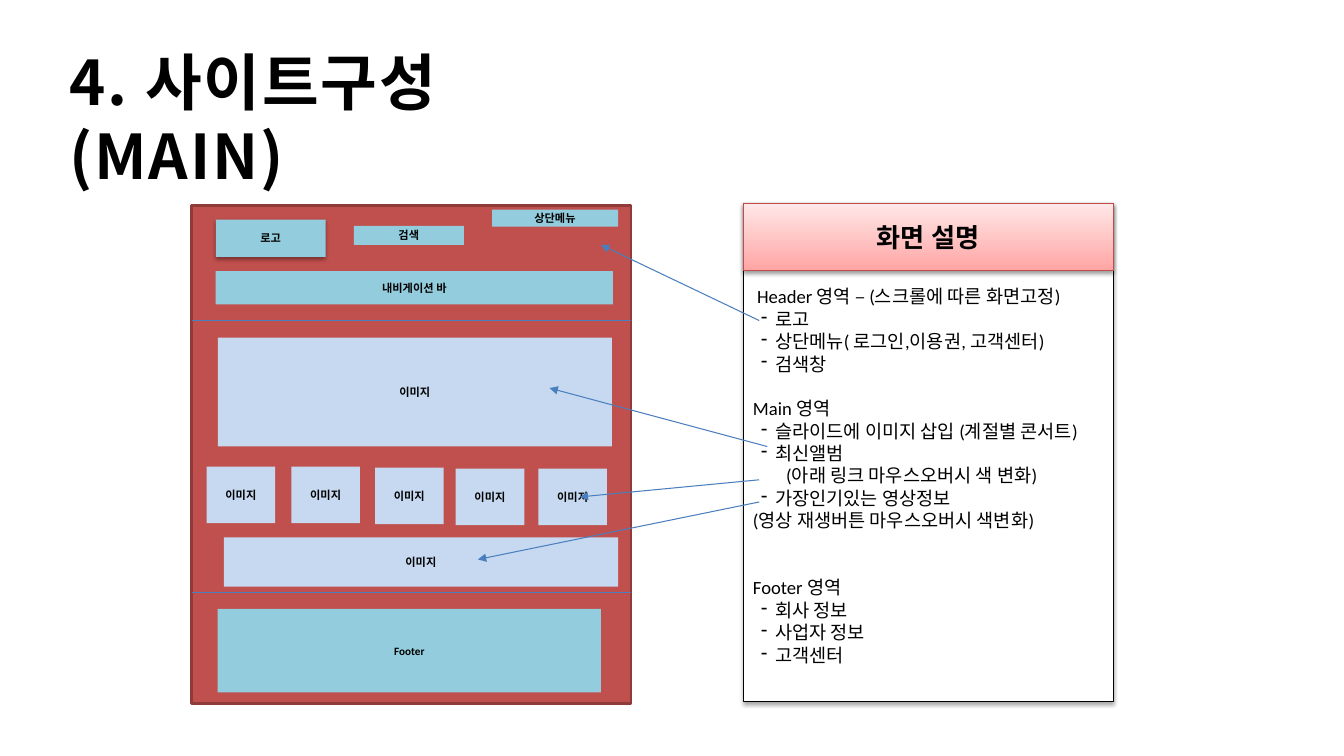
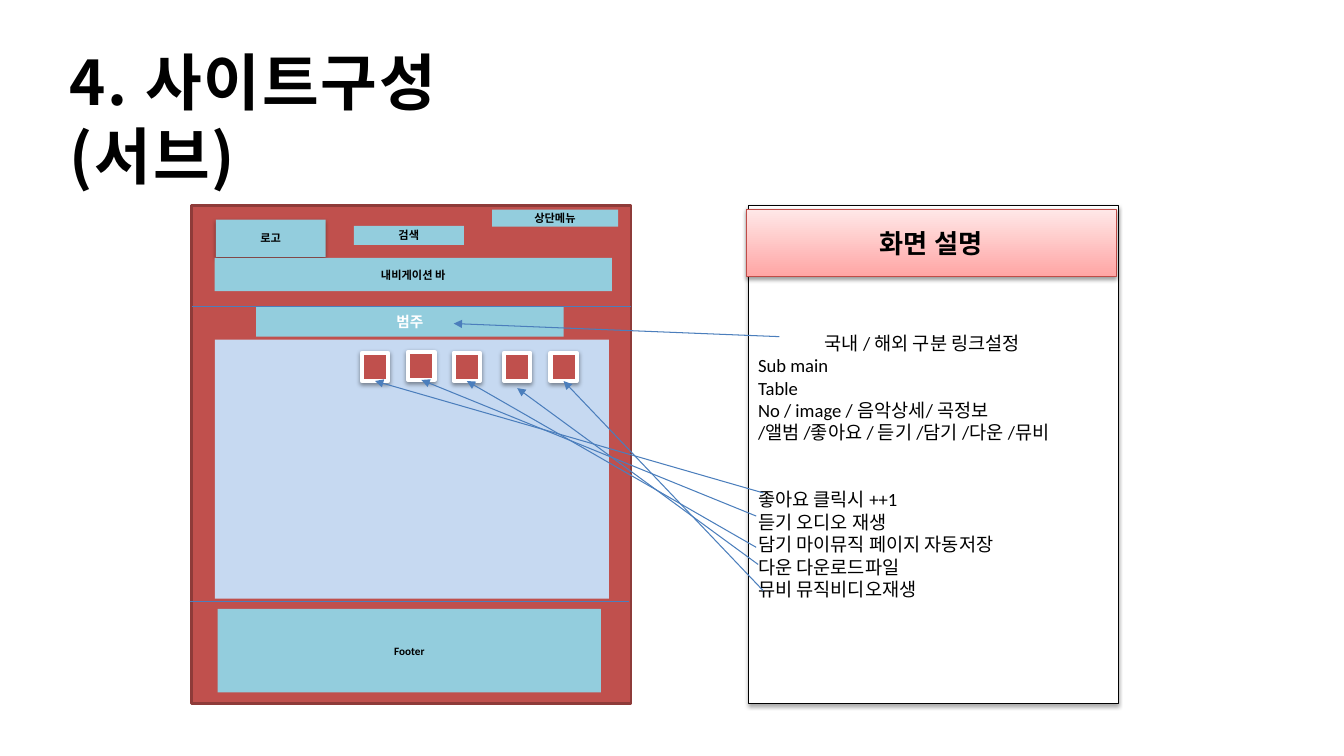
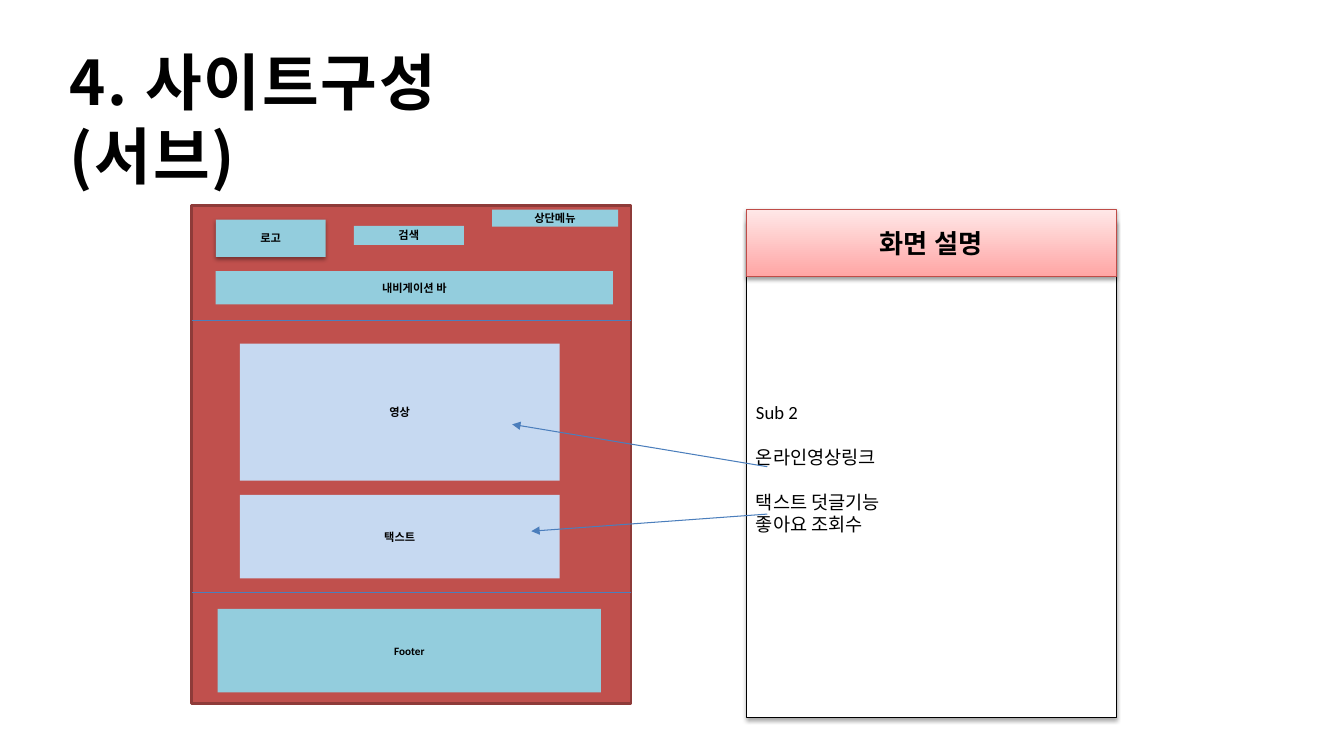
"""Build three wireframe slides that explain the page layout of a music site."""
from lxml import etree
from pptx import Presentation
from pptx import util as u
from pptx.dml.color import RGBColor
from pptx.enum import shapes, text
from pptx.oxml import parse_xml
from pptx.oxml.ns import qn

COLORS = {
    "frame": "C0504D", "frame_edge": "8E3B39", "bar": "93CDDD", "content": "C6D9F1",
    "line": "4B7EBC", "panel_edge": "000000", "header_edge": "BF4C48",
    "header_dark": "FFA6A5", "header_light": "FFE7E7", "black": "000000", "white": "FFFFFF",
}
RGB = {name: RGBColor.from_string(value) for name, value in COLORS.items()}
DRAWING = "http://schemas.openxmlformats.org/drawingml/2006/main"
HEADING_FONT = "Noto Sans CJK KR"
LABEL = {"name": "Calibri", "size": u.Pt(8), "bold": True}
CATEGORY = {**LABEL, "size": u.Pt(10.5)}
BODY = {"name": "Calibri", "size": u.Pt(13.3), "bold": False}
HEADER = {"name": HEADING_FONT, "size": u.Pt(18.7), "bold": True}
TITLE = {"name": HEADING_FONT, "size": u.Pt(44), "bold": True}
LINE_HEIGHT = 16


def format_runs(paragraph, font_format, color="black"):
    for run in paragraph.runs:
        for attribute, value in font_format.items():
            setattr(run.font, attribute, value)
        run.font.color.rgb = RGB[color]
        if font_format["name"] == HEADING_FONT:
            east_asian = etree.SubElement(run.font._element, qn("a:ea"))
            east_asian.set("typeface", HEADING_FONT)


def add_box(slide, place, fill, label="", edge=None, width=0.75, shadow=0,
            font_format=LABEL, color="black"):
    shape = slide.shapes.add_shape(shapes.MSO_SHAPE.RECTANGLE, *map(u.Inches, place))
    shape.fill.solid()
    shape.fill.fore_color.rgb = RGB[fill]
    if edge:
        shape.line.color.rgb = RGB[edge]
        shape.line.width = u.Pt(width)
    else:
        shape.line.fill.background()
    shape.shadow.inherit = False
    if shadow:
        effects = shape._element.spPr.find(qn("a:effectLst"))
        effects.append(parse_xml(
            f'<a:outerShdw xmlns:a="{DRAWING}" blurRad="{u.Pt(3.1)}" dist="{u.Pt(1.6)}" '
            f'dir="5400000" rotWithShape="0"><a:srgbClr val="{COLORS["black"]}">'
            f'<a:alpha val="{shadow * 1000}"/></a:srgbClr></a:outerShdw>'))
    if label:
        shape.text_frame.text = label
        shape.text_frame.vertical_anchor = text.MSO_ANCHOR.MIDDLE
        shape.text_frame.paragraphs[0].alignment = text.PP_ALIGN.CENTER
        format_runs(shape.text_frame.paragraphs[0], font_format, color)
    return shape


IMAGE_ROW = [
    ((left, top, 0.68, 0.56), "이미지")
    for left, top in zip((2.05, 2.89, 3.72, 4.52, 5.34), (4.63, 4.63, 4.64, 4.65, 4.65))
]
PAGES = [
    {
        "title": "(MAIN)", "navigation": (2.14, 2.69), "separators": [(1.9, 3.18), (1.9, 5.88)],
        "contents": [((2.16, 3.35, 3.91, 1.08), "이미지"), *IMAGE_ROW,
                     ((2.22, 5.33, 3.91, 0.49), "이미지")],
        "category": None, "icons": [],
        "panel": (7.37, 2.02), "header": (7.37, 2.02), "text_top": 2.83,
        "lines": [
            ("Header 영역 – (스크롤에 따른 화면고정)", 0.04, 0),
            ("- 로고", 0.08, 0),
            ("- 상단메뉴( 로그인,이용권, 고객센터)", 0.08, 0),
            ("- 검색창", 0.08, 0),
            ("Main 영역", 0, 1),
            ("- 슬라이드에 이미지 삽입 (계절별 콘서트)", 0.08, 0),
            ("- 최신앨범", 0.08, 0),
            ("(아래 링크 마우스오버시 색 변화)", 0.33, 0),
            ("- 가장인기있는 영상정보", 0.08, 0),
            ("(영상 재생버튼 마우스오버시 색변화)", 0, 0),
            ("Footer 영역", 0, 2),
            ("- 회사 정보", 0.08, 0),
            ("- 사업자 정보", 0.08, 0),
            ("- 고객센터", 0.08, 0),
        ],
        "arrows": [(7.53, 3.18, 5.96, 2.43), (7.61, 4.43, 5.45, 3.85),
                   (7.53, 4.76, 5.75, 4.93), (7.53, 4.98, 4.74, 5.55)],
    },
    {
        "title": "(서브)", "navigation": (2.13, 2.56), "separators": [(1.9, 3.04), (1.88, 5.97)],
        "contents": [((2.13, 3.37, 3.91, 2.57), "")],
        "category": (2.54, 3.04, 3.05, 0.3),
        "icons": [(3.59, 3.5), (4.05, 3.49), (4.5, 3.5), (5, 3.5), (5.46, 3.5)],
        "panel": (7.42, 2.04), "header": (7.4, 2.08), "text_top": 3.29,
        "lines": [
            ("국내 / 해외 구분 링크설정", 0.66, 0),
            ("Sub main", 0, 0),
            ("Table", 0, 0),
            ("No / image / 음악상세/ 곡정보", 0, 0),
            ("/앨범 /좋아요 / 듣기 /담기 /다운 /뮤비", 0, 0),
            ("좋아요 클릭시 ++1", 0, 2),
            ("듣기 오디오 재생", 0, 0),
            ("담기 마이뮤직 페이지 자동저장", 0, 0),
            ("다운 다운로드파일", 0, 0),
            ("뮤비 뮤직비디오재생", 0, 0),
        ],
        "arrows": [(7.57, 4.89, 3.72, 3.78), (7.5, 5.12, 4.18, 3.77), (7.5, 5.43, 4.63, 3.78),
                   (7.52, 5.6, 5.13, 3.85), (7.57, 5.86, 5.59, 3.78), (7.73, 3.34, 4.5, 3.21)],
    },
    {
        "title": "(서브)", "navigation": (2.14, 2.69), "separators": [(1.9, 3.18), (1.9, 5.88)],
        "contents": [((2.38, 3.41, 3.17, 1.36), "영상"), ((2.38, 4.91, 3.17, 0.83), "택스트")],
        "category": None, "icons": [],
        "panel": (7.4, 2.18), "header": (7.4, 2.08), "text_top": 3.98,
        "lines": [
            ("Sub 2", 0, 0),
            ("온라인영상링크", 0, 1),
            ("택스트 덧글기능", 0, 1),
            ("좋아요 조회수", 0, 0),
        ],
        "arrows": [(7.61, 4.63, 5.08, 4.21), (7.61, 5.1, 5.27, 5.27)],
    },
]

presentation = Presentation()
presentation.slide_width = u.Inches(13.33)
presentation.slide_height = u.Inches(7.5)

for page in PAGES:
    slide = presentation.slides.add_slide(presentation.slide_layouts[5])
    title = slide.shapes.title
    for attribute, value in {"left": 0.59, "top": 0.38, "width": 5, "height": 1.58}.items():
        setattr(title, attribute, u.Inches(value))
    title.text_frame.text = f"4. 사이트구성\v{page['title']}"
    title.text_frame.auto_size = text.MSO_AUTO_SIZE.NONE
    title.text_frame.vertical_anchor = text.MSO_ANCHOR.MIDDLE
    paragraph = title.text_frame.paragraphs[0]
    paragraph.alignment = text.PP_ALIGN.LEFT
    paragraph.line_spacing = u.Pt(53)
    format_runs(paragraph, TITLE)
    for run in paragraph.runs:
        run.font._element.set("spc", "130")

    add_box(slide, (1.9, 2.04, 4.36, 4.94), "frame", edge="frame_edge", width=2)
    add_box(slide, (2.14, 2.18, 1.09, 0.37), "bar", "로고", shadow=38)
    for place, label in [((*page["navigation"], 3.94, 0.33), "내비게이션 바"),
                         ((2.16, 6.04, 3.8, 0.83), "Footer"),
                         ((4.88, 2.08, 1.25, 0.17), "상단메뉴"),
                         ((3.51, 2.24, 1.09, 0.19), "검색")]:
        add_box(slide, place, "bar", label)
    for place, label in page["contents"]:
        add_box(slide, place, "content", label)

    panel = add_box(slide, (*page["panel"], 3.67, 4.94), "white", edge="panel_edge", shadow=35)
    frame = panel.text_frame
    frame.word_wrap = True
    frame.vertical_anchor = text.MSO_ANCHOR.TOP
    frame.margin_top = u.Inches(page["text_top"] - page["panel"][1])
    for index, (line, indent, gap) in enumerate(page["lines"]):
        paragraph = frame.add_paragraph() if index else frame.paragraphs[0]
        paragraph.text = line.removeprefix("- ")
        paragraph.alignment = text.PP_ALIGN.LEFT
        paragraph.line_spacing = u.Pt(LINE_HEIGHT)
        paragraph.space_before = u.Pt(LINE_HEIGHT * gap)
        format_runs(paragraph, BODY)
        properties = paragraph._p.get_or_add_pPr()
        hanging = 0.14 if line.startswith("- ") else 0
        properties.set("marL", str(u.Inches(indent + hanging)))
        properties.set("indent", str(-u.Inches(hanging)))
        if hanging:
            etree.SubElement(properties, qn("a:buChar")).set("char", "-")

    header = add_box(slide, (*page["header"], 3.67, 0.66), "white", "화면 설명",
                     edge="header_edge", shadow=38, font_format=HEADER)
    header.fill.gradient()
    header.fill.gradient_angle = 90
    for stop, color in zip(header.fill.gradient_stops, ("header_dark", "header_light")):
        stop.color.rgb = RGB[color]

    if page["category"]:
        add_box(slide, page["category"], "bar", "범주", font_format=CATEGORY, color="white")
    icons = {}
    for left, top in page["icons"]:
        bottom_middle = (round(left + 0.13, 2), round(top + 0.28, 2))
        icons[bottom_middle] = add_box(slide, (left, top, 0.26, 0.28), "frame",
                                       edge="white", width=3, shadow=38)

    separators = [(left, top, left + 4.36, top) for left, top in page["separators"]]
    for ends in separators + page["arrows"]:
        connector = slide.shapes.add_connector(
            shapes.MSO_CONNECTOR.STRAIGHT, *map(u.Inches, ends))
        connector.line.color.rgb = RGB["line"]
        connector.line.width = u.Pt(0.75)
        if ends in page["arrows"]:
            outline = connector.line._get_or_add_ln()
            etree.SubElement(outline, qn("a:tailEnd")).set("type", "triangle")
        etree.SubElement(connector._element.spPr, qn("a:effectLst"))
        if ends[2:] in icons:
            connector.end_connect(icons[ends[2:]], 2)

presentation.save("out.pptx")
